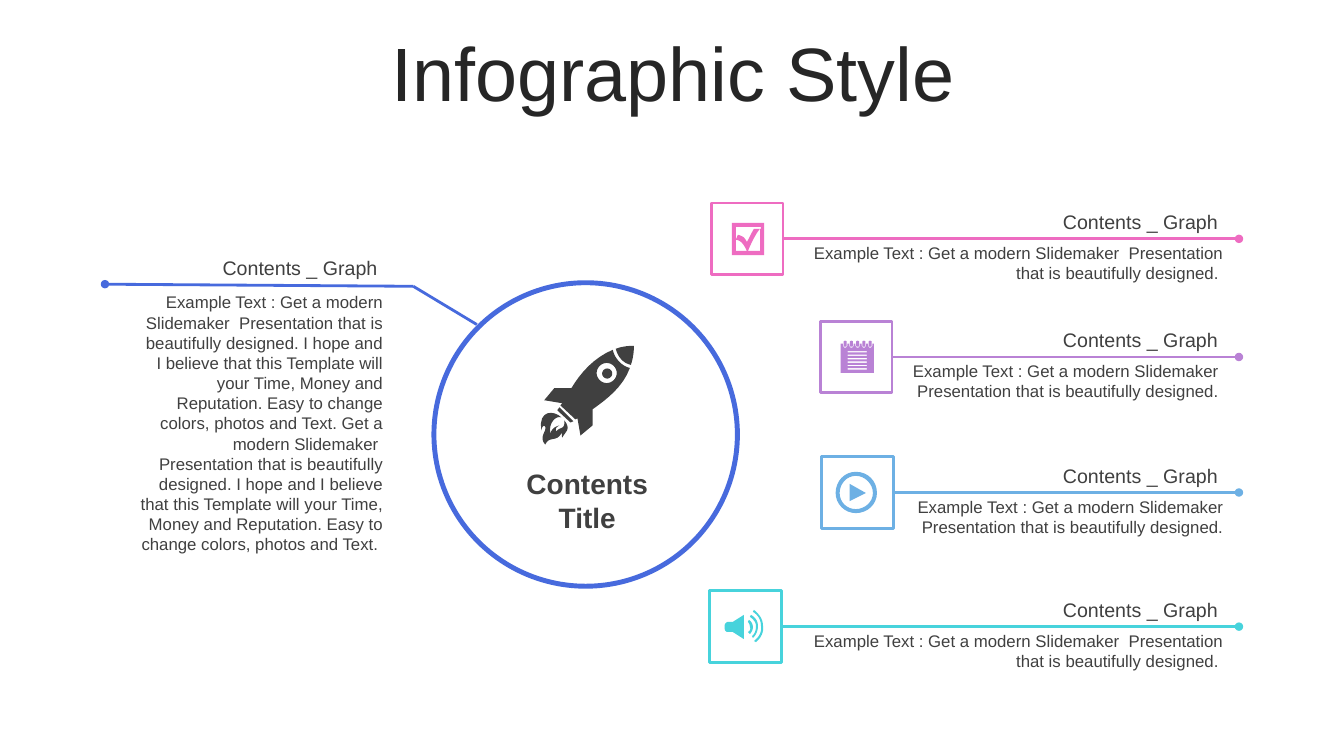
import dataclasses
import pptx
import pptx.dml.color
import pptx.enum.shapes
import pptx.enum.text
import pptx.oxml
import pptx.oxml.ns
import pptx.util

Pt = pptx.util.Pt
SHAPES = pptx.enum.shapes.MSO_SHAPE
ALIGN = pptx.enum.text.PP_ALIGN
ANCHOR = pptx.enum.text.MSO_ANCHOR
AUTO_SIZE = pptx.enum.text.MSO_AUTO_SIZE


@dataclasses.dataclass(frozen=True)
class Theme:
    font: str = "Arial"
    title: str = "262626"
    text: str = "404040"
    white: str = "FFFFFF"
    blue: str = "476ADD"
    pink: str = "EE6CC1"
    purple: str = "B982D5"
    sky: str = "6DB0E4"
    teal: str = "47D3DC"
    title_size: int = 54
    center_size: int = 20
    heading_size: int = 14
    body_size: int = 12
    line_width: int = 2


HEADING = "Contents _ Graph "
SUMMARY = "Example Text : Get a modern Slidemaker  Presentation that is beautifully designed. "
PROMISE = ("I hope and I believe that this Template will your Time, Money and Reputation. "
           "Easy to change colors, photos and Text. ")
STORY = SUMMARY + PROMISE + SUMMARY.removeprefix("Example Text : ") + PROMISE + " "

ROCKET = """
M 20 71 C 15 69 7 76 9 87 C 11 81 15 80 18 79 C 17 80 13 81 15 85 C 18 80 24 84 23 74
C 30 83 24 85 21 91 C 20 90 21 84 20 87 C 15 96 8 89 4 98 C -3 90 6 85 4 80
C 3 79 1 79 0 84 C -3 63 13 64 20 71
M 18 61 L 32 75 C 31 75 30 76 29 76 L 16 64
M 69 24 C 71 26 71 29 69 31 C 67 33 64 33 62 31 C 60 29 60 26 62 24 C 64 22 67 22 69 24
M 72 20 C 68 16 62 16 58 20 C 54 24 54 30 58 34 C 62 38 68 38 72 34 C 76 30 76 24 72 20
M 71 4 C 73 13 80 20 88 22 C 81 41 65 53 51 63 L 51 79 L 39 89 L 36 72 L 34 73 L 19 59
C 20 58 20 58 21 57 L 3 54 L 13 42 L 30 42 C 39 27 52 12 71 4
M 92 0 C 92 7 91 13 89 19 C 81 17 76 11 74 3 C 79 1 85 0 92 0"""

CHECKBOX = """
M 0 0 L 32 0 L 32 32 L 0 32
M 4 4 L 4 28 L 15 28 C 13 24 10 17 4 17 L 6 12 C 11 13 13 15 15 19 C 18 14 19 11 22 6
L 28 6 C 23 12 19 21 16 28 L 28 28 L 28 6 L 29 6 L 29 4"""

PLAY = """
M 14 12 L 30 21 L 14 29
M 20 4 C 11 4 4 12 4 21 C 4 30 11 37 20 37 C 29 37 37 30 37 21 C 37 12 29 4 20 4
M 20 0 C 32 0 41 9 41 21 C 41 32 32 41 20 41 C 9 41 0 32 0 21 C 0 9 9 0 20 0"""

SPEAKER = """
M 24 10 C 26 11 28 14 28 17 C 28 19 27 22 25 24 L 23 22 C 25 21 26 19 25 17
C 25 15 24 13 23 12
M 26 5 C 30 7 33 11 33 16 C 33 21 31 25 28 28 L 27 26 C 30 24 31 20 31 16 C 31 12 28 9 25 7
M 19 5 L 19 29 L 8 22 L 3 22 C 2 22 0 21 0 19 L 0 15 C 0 14 2 12 3 12 L 8 12
M 29 0 C 34 4 38 9 38 16 C 39 22 36 28 31 32 L 29 31 C 34 27 37 22 36 16 C 36 10 33 5 28 2"""


def notepad():
    centers = [4.5 + 6.2 * ring for ring in range(5)]
    rows = [10.3 + 3.4 * row for row in range(6)]
    notches = " ".join(
        f"L {c - 2.3} 3 L {c - 2.3} 4 C {c - 2.3} 8 {c + 2.3} 8 {c + 2.3} 4 L {c + 2.3} 3"
        for c in centers)
    rings = " ".join(
        f"M {c - 1.5} 1 C {c - 1.5} -0.3 {c + 1.5} -0.3 {c + 1.5} 1 "
        f"L {c + 1.5} 5 C {c + 1.5} 6.3 {c - 1.5} 6.3 {c - 1.5} 5" for c in centers)
    rules = " ".join(f"M 7 {y} L 26 {y} L 26 {y + 1.4} L 7 {y + 1.4}" for y in rows)
    return f"M 0 3 {notches} L 33 3 L 33 32 L 0 32 {rings} {rules}"


def contours(outline, steps=8):
    for contour in outline.split("M")[1:]:
        points = []
        for part in contour.replace("L", "|").replace("C", "|C").split("|"):
            numbers = [float(word) for word in part.replace("C", "").split()]
            pairs = list(zip(numbers[::2], numbers[1::2]))
            if "C" not in part:
                points += pairs
                continue
            curve = [points[-1]] + pairs
            for step in range(1, steps + 1):
                t = step / steps
                weights = ((1 - t) ** 3, 3 * t * (1 - t) ** 2, 3 * t * t * (1 - t), t ** 3)
                points.append(tuple(sum(w * point[axis] for w, point in zip(weights, curve))
                                    for axis in (0, 1)))
        yield [(100 * x, 100 * y) for x, y in points]


class Page:
    def __init__(self, deck, theme):
        self.theme = theme
        self.shapes = deck.slides.add_slide(deck.slide_layouts[6]).shapes

    def color(self, name):
        return pptx.dml.color.RGBColor.from_string(name)

    def text(self, left, top, width, height, lines, size, align=ALIGN.RIGHT,
             color=None, bold=False, spacing=None):
        box = self.shapes.add_textbox(Pt(left), Pt(top), Pt(width), Pt(height))
        frame = box.text_frame
        frame.word_wrap = True
        frame.auto_size = AUTO_SIZE.NONE if spacing else AUTO_SIZE.SHAPE_TO_FIT_TEXT
        frame.vertical_anchor = ANCHOR.MIDDLE if spacing else ANCHOR.TOP
        frame.text = lines
        for para in frame.paragraphs:
            para.alignment = align
            para.line_spacing = spacing
            para.font.name = self.theme.font
            para.font.size = Pt(size)
            para.font.bold = bold
            para.font.color.rgb = self.color(color or self.theme.text)

    def fill(self, shape, color):
        shape.shadow.inherit = False
        shape.fill.solid()
        shape.fill.fore_color.rgb = self.color(color)
        shape.line.fill.background()

    def frame(self, left, top, side, color):
        box = self.shapes.add_shape(SHAPES.RECTANGLE, Pt(left), Pt(top), Pt(side), Pt(side))
        self.fill(box, self.theme.white)
        box.line.color.rgb = self.color(color)
        box.line.width = Pt(self.theme.line_width)
        return box

    def ring(self, left, top, side, color):
        ring = self.shapes.add_shape(SHAPES.DONUT, Pt(left), Pt(top), Pt(side), Pt(side))
        ring.adjustments[0] = 0.016
        self.fill(ring, color)

    def line(self, start, end, color, dot=None, box=None):
        line = self.shapes.add_connector(pptx.enum.shapes.MSO_CONNECTOR.STRAIGHT,
                                         *(Pt(value) for value in start + end))
        if box is not None:
            line.begin_connect(box, 3)
        line.line.color.rgb = self.color(color)
        line.line.width = Pt(self.theme.line_width)
        properties = line.element.spPr
        if dot:
            stroke = properties.find(pptx.oxml.ns.qn("a:ln"))
            stroke.append(pptx.oxml.parse_xml(
                f'<a:{dot} {pptx.oxml.ns.nsdecls("a")} type="oval"/>'))
        properties.append(pptx.oxml.parse_xml(f'<a:effectLst {pptx.oxml.ns.nsdecls("a")}/>'))

    def icon(self, left, top, outline, color):
        first, *others = contours(outline)
        builder = self.shapes.build_freeform(*first[0], scale=Pt(0.72) / 100)
        builder.add_line_segments(first[1:], close=True)
        for points in others:
            builder.move_to(*points[0])
            builder.add_line_segments(points[1:], close=True)
        self.fill(builder.convert_to_shape(Pt(left), Pt(top)), color)

    def item(self, box_left, middle, text_left, color, outline, icon_left, icon_top):
        side, text_right = 51.2, 881
        box = self.frame(box_left, middle - side / 2, side, color)
        self.line((box_left + side, middle), (885, middle), color, "tailEnd", box)
        width = text_right - text_left
        self.text(text_left, middle - 24, width, 24.2, HEADING, self.theme.heading_size)
        self.text(text_left, middle - 0.7, width, 36, SUMMARY, self.theme.body_size)
        self.icon(icon_left, icon_top, outline, color)


def main():
    deck = pptx.Presentation()
    deck.slide_width, deck.slide_height = Pt(960), Pt(540)
    theme = Theme()
    page = Page(deck, theme)
    page.text(25.2, 26.6, 911.5, 56.9, "Infographic Style", theme.title_size,
              ALIGN.CENTER, theme.title, spacing=0.9)

    page.ring(308.2, 200.2, 220.3, theme.blue)
    page.text(90.7, 205.2, 190, 196.6, STORY, theme.body_size)
    page.text(90.7, 179.3, 190, 24.2, HEADING, theme.heading_size)
    page.line((75, 203), (295.2, 204.5), theme.blue, "headEnd")
    page.line((295.2, 204.5), (340.6, 231.8), theme.blue)
    page.text(362.2, 329.8, 114.5, 55.4, "Contents\nTitle", theme.center_size,
              ALIGN.CENTER, bold=True)
    page.icon(386.6, 247, ROCKET, theme.text)

    page.item(508.1, 170.6, 562, theme.pink, CHECKBOX, 522.7, 159.1)
    page.item(586, 255, 644, theme.purple, notepad(), 600.5, 243.4)
    page.item(586.8, 351.8, 645, theme.sky, PLAY, 596.9, 337)
    page.item(506.9, 447.6, 562, theme.teal, SPEAKER, 517.7, 435.6)
    deck.save("out.pptx")


if __name__ == "__main__":
    main()
